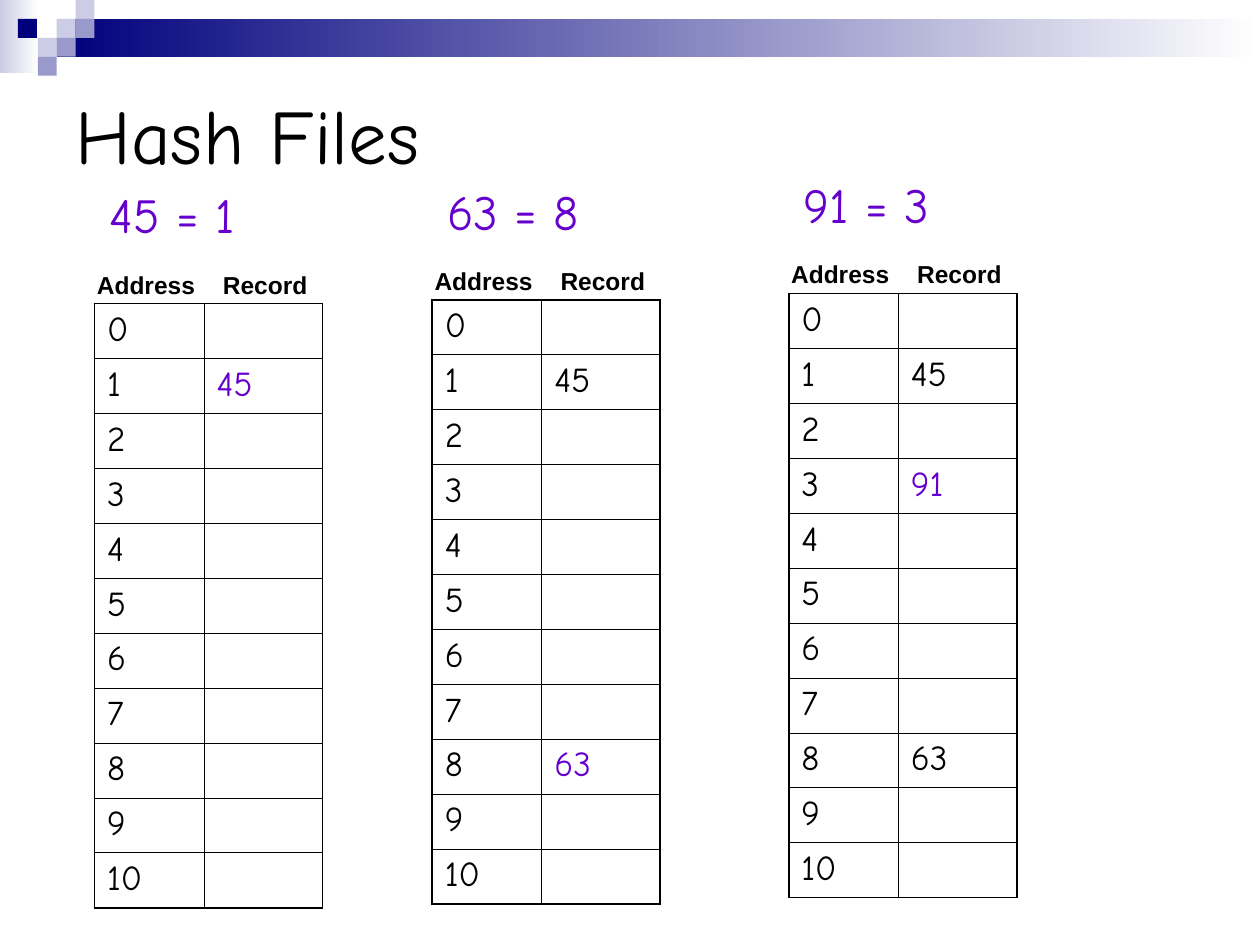
"""Build the slide that shows three states of a hash file."""
from dataclasses import dataclass

from lxml import etree
from pptx import Presentation
from pptx.dml.color import RGBColor
from pptx.enum.shapes import MSO_SHAPE
from pptx.enum.text import MSO_ANCHOR, MSO_AUTO_SIZE, PP_ALIGN
from pptx.oxml.ns import qn
from pptx.util import Inches, Pt

RECTANGLE = MSO_SHAPE.RECTANGLE
MIDDLE, TOP = MSO_ANCHOR.MIDDLE, MSO_ANCHOR.TOP
NO_AUTOFIT = MSO_AUTO_SIZE.NONE
LEFT = PP_ALIGN.LEFT

COLORS = {
    "text": "000000",
    "new": "6600CC",
    "navy": "00007D",
    "medium": "9999CC",
    "pale": "CCCCE6",
    "white": "FFFFFF",
}
HAND, SANS = "Comic Neue", "Arial"
UNIT = 0.15
ADDRESS_COUNT = 11
COLUMN_WIDTHS = (0.87, 0.94)
ROW_HEIGHT = Pt(31.4)
OUTER_LINE, INNER_LINE = 1.08, 0.45


@dataclass(frozen=True)
class Block:
    """A decorative block in grid units, with one colour or a gradient pair."""
    column: float
    row: float
    colors: tuple
    columns: float = 1
    rows: float = 1


@dataclass(frozen=True)
class HashState:
    """A hash file after one insertion."""
    left: float
    top: float
    key: int
    address: int
    records: dict


BLOCKS = (
    Block(0, 0, ("pale", "white"), 2.05, 3.85),
    Block(3, 1, ("navy", "white"), 63.67, 2),
    Block(3, 1, ("pale",)),
    Block(4, 0, ("pale",)),
    Block(4, 1, ("medium",)),
    Block(2, 2, ("pale",)),
    Block(0.95, 1, ("navy",)),
    Block(3, 2, ("medium",)),
    Block(2, 3, ("medium",)),
)
STATES = (
    HashState(0.75, 2.41, 45, 1, {1: 45}),
    HashState(3.43, 2.38, 63, 8, {1: 45, 8: 63}),
    HashState(6.26, 2.33, 91, 3, {1: 45, 3: 91, 8: 63}),
)


def rgb(name: str) -> RGBColor:
    """Return the named colour."""
    return RGBColor.from_string(COLORS[name])


def write(frame, text: str, *, size: float, color: str = "text", font: str = HAND,
          bold: bool = False, anchor=TOP, spacing: float = 1.0,
          margin: float = 0, tab: float = 0) -> None:
    """Write one formatted, left-aligned paragraph into a text frame."""
    frame.word_wrap = True
    frame.vertical_anchor = anchor
    paragraph = frame.paragraphs[0]
    paragraph.text = text
    paragraph.alignment = LEFT
    paragraph.line_spacing = spacing
    paragraph.space_before = Pt(0)
    properties = paragraph._p.get_or_add_pPr()
    properties.set("marL", str(Inches(margin)))
    properties.set("indent", "0")
    etree.SubElement(properties, qn("a:buNone"))
    if tab:
        tabs = etree.SubElement(properties, qn("a:tabLst"))
        etree.SubElement(tabs, qn("a:tab"), pos=str(Inches(tab)), algn="l")
    run_font = paragraph.runs[0].font
    run_font.name, run_font.size, run_font.bold = font, Pt(size), bold
    run_font.color.rgb = rgb(color)


def place(shape, left: float, top: float, width: float, height: float) -> None:
    """Move and size a placeholder, and bring it to the front."""
    shape.left, shape.top = Inches(left), Inches(top)
    shape.width, shape.height = Inches(width), Inches(height)
    shape.element.getparent().append(shape.element)
    shape.text_frame.auto_size = NO_AUTOFIT


def draw_block(slide, block: Block) -> None:
    """Draw one decorative block."""
    shape = slide.shapes.add_shape(RECTANGLE, *(
        Inches(units * UNIT)
        for units in (block.column, block.row, block.columns, block.rows)))
    shape.shadow.inherit = False
    shape.line.fill.background()
    if len(block.colors) == 1:
        shape.fill.solid()
        shape.fill.fore_color.rgb = rgb(block.colors[0])
        return
    shape.fill.gradient()
    shape.fill.gradient_angle = 0
    for stop, color, position in zip(shape.fill.gradient_stops, block.colors, (0, 1)):
        stop.color.rgb = rgb(color)
        stop.position = position


def format_cell(cell, row: int, column: int) -> None:
    """Clear the fill of a cell and line it, thicker on the table's outside."""
    properties = cell._tc.get_or_add_tcPr()
    outside = {"L": column == 0, "R": column == 1,
               "T": row == 0, "B": row == ADDRESS_COUNT - 1}
    for side, is_outer in outside.items():
        width = Pt(OUTER_LINE if is_outer else INNER_LINE)
        line = etree.SubElement(properties, qn(f"a:ln{side}"), w=str(width))
        fill = etree.SubElement(line, qn("a:solidFill"))
        etree.SubElement(fill, qn("a:srgbClr"), val=COLORS["text"])
    cell.fill.background()


def draw_table(slide, state: HashState) -> None:
    """Draw the address table, with the new record highlighted."""
    table = slide.shapes.add_table(
        ADDRESS_COUNT, len(COLUMN_WIDTHS), Inches(state.left), Inches(state.top),
        Inches(sum(COLUMN_WIDTHS)), ROW_HEIGHT * ADDRESS_COUNT).table
    table.first_row = table.horz_banding = False
    for column, width in zip(table.columns, COLUMN_WIDTHS):
        column.width = Inches(width)
    for address in range(ADDRESS_COUNT):
        table.rows[address].height = ROW_HEIGHT
        for column, value in enumerate((address, state.records.get(address))):
            cell = table.cell(address, column)
            format_cell(cell, address, column)
            if value is not None:
                is_new = column == 1 and address == state.address
                write(cell.text_frame, str(value), size=20,
                      color="new" if is_new else "text")


def add_text_box(slide, left: float, top: float, width: float, height: float):
    """Add an empty text box."""
    return slide.shapes.add_textbox(
        Inches(left), Inches(top), Inches(width), Inches(height))


def draw_state(slide, state: HashState, body=None) -> None:
    """Draw the heading, table and column labels of one hash file."""
    area = (state.left - 0.24, state.top - 0.94, 1.65, 0.55)
    if body is None:
        heading = add_text_box(slide, *area)
    else:
        heading = body
        place(heading, *area)
    write(heading.text_frame, f"{state.key} = {state.address}", size=28,
          color="new", spacing=0.9, margin=0.26)
    draw_table(slide, state)
    labels = add_text_box(slide, state.left - 0.08, state.top - 0.32, 1.89, 0.34)
    write(labels.text_frame, "Address\tRecord", size=14, font=SANS, bold=True, tab=0.99)


def main() -> None:
    """Build and save the presentation."""
    presentation = Presentation()
    presentation.slide_width, presentation.slide_height = Inches(10), Inches(7.5)
    slide = presentation.slides.add_slide(presentation.slide_layouts[1])
    title, body = slide.placeholders
    for block in BLOCKS:
        draw_block(slide, block)
    place(title, 0.5, 0.5, 9, 1.12)
    write(title.text_frame, "Hash Files", size=44, anchor=MIDDLE)
    for state, placeholder in zip(STATES, (body, None, None)):
        draw_state(slide, state, placeholder)
    presentation.save("out.pptx")


if __name__ == "__main__":
    main()
